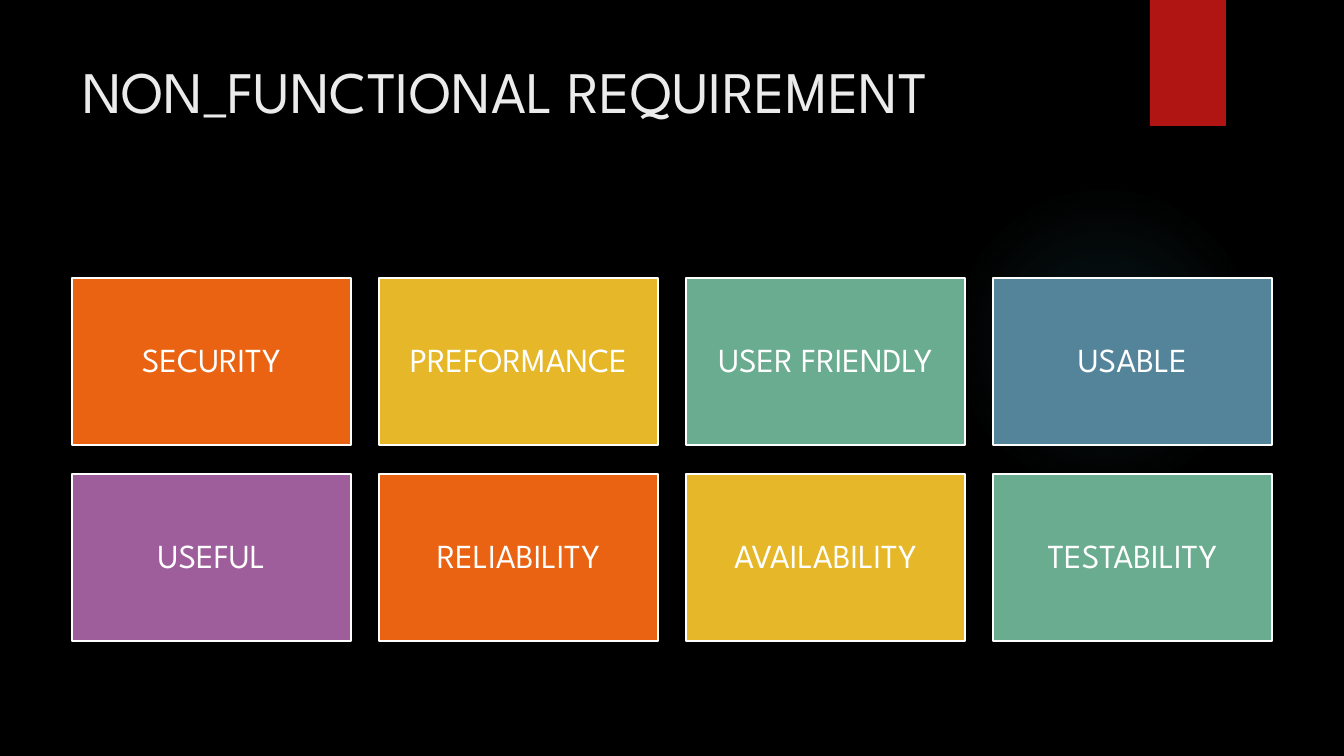
import dataclasses

import lxml.etree
import pptx
import pptx.dml.color
import pptx.enum.shapes
import pptx.enum.text
import pptx.oxml
import pptx.oxml.ns
import pptx.util

SLIDE_W, SLIDE_H = 1344, 756
EMU_PER_PX = 12192000 / SLIDE_W
FONT = "League Spartan"
COLORS = {
    "black": "000000",
    "white": "FFFFFF",
    "title": "EBEBEB",
    "glow": "50B9C1",
    "red": "B01513",
    "orange": "EA6312",
    "yellow": "E6B729",
    "green": "6AAC90",
    "blue": "54849A",
    "purple": "9E5E9B",
}
GLOW_STOPS = ((0, 7), (36, 6), (69, 0))  # position %, opacity %

# Card grid
COLUMNS = 4
GRID_LEFT, GRID_TOP = 72, 278
CARD_W, CARD_H = 279, 167
PITCH_X, PITCH_Y = 307, 196


@dataclasses.dataclass
class Card:
    text: str
    color: str


CARDS = [
    Card("SECURITY", "orange"),
    Card("PREFORMANCE", "yellow"),
    Card("USER FRIENDLY", "green"),
    Card("USABLE", "blue"),
    Card("USEFUL", "purple"),
    Card("RELIABILITY", "orange"),
    Card("AVAILABILITY", "yellow"),
    Card("TESTABILITY", "green"),
]


def px(n: int) -> pptx.util.Emu:
    return pptx.util.Emu(round(n * EMU_PER_PX))


def rgb(name: str) -> pptx.dml.color.RGBColor:
    return pptx.dml.color.RGBColor.from_string(COLORS[name])


def add_shape(s, kind, left: int, top: int, width: int, height: int, color: str):
    sp = s.shapes.add_shape(kind, px(left), px(top), px(width), px(height))
    sp.shadow.inherit = False
    sp.fill.solid()
    sp.fill.fore_color.rgb = rgb(color)
    sp.line.fill.background()
    return sp


def set_font(p, size: int, color: str) -> None:
    p.font.name = FONT
    p.font.size = pptx.util.Pt(size)
    p.font.color.rgb = rgb(color)


def add_glow(s) -> None:
    sp = add_shape(s, pptx.enum.shapes.MSO_SHAPE.OVAL, 949, 184, 310, 310, "glow")
    stops = "".join(
        f'<a:gs pos="{pos * 1000}"><a:srgbClr val="{COLORS["glow"]}">'
        f'<a:alpha val="{alpha * 1000}"/></a:srgbClr></a:gs>'
        for pos, alpha in GLOW_STOPS
    )
    grad = pptx.oxml.parse_xml(
        f'<a:gradFill {pptx.oxml.ns.nsdecls("a")}><a:gsLst>{stops}</a:gsLst>'
        '<a:path path="circle"><a:fillToRect l="50000" t="50000" r="50000" b="50000"/>'
        "</a:path></a:gradFill>"
    )
    solid = sp.element.spPr.find(pptx.oxml.ns.qn("a:solidFill"))
    sp.element.spPr.replace(solid, grad)


def add_title(s, text: str) -> None:
    sp = s.shapes.title
    sp.left, sp.top, sp.width, sp.height = px(72), px(50), px(1037), px(154)
    tf = sp.text_frame
    tf.text = text
    tf.word_wrap = True
    tf.auto_size = pptx.enum.text.MSO_AUTO_SIZE.NONE
    tf.vertical_anchor = pptx.enum.text.MSO_ANCHOR.TOP
    p = tf.paragraphs[0]
    p.alignment = pptx.enum.text.PP_ALIGN.LEFT
    set_font(p, 42, "title")


def add_card(s, card: Card, left: int, top: int) -> None:
    rect = pptx.enum.shapes.MSO_SHAPE.RECTANGLE
    sp = add_shape(s, rect, left, top, CARD_W, CARD_H, card.color)
    sp.line.color.rgb = rgb("white")
    sp.line.width = pptx.util.Pt(1.5)
    tf = sp.text_frame
    tf.text = card.text
    tf.word_wrap = True
    tf.vertical_anchor = pptx.enum.text.MSO_ANCHOR.MIDDLE
    tf.margin_left = tf.margin_right = tf.margin_top = tf.margin_bottom = px(10)
    p = tf.paragraphs[0]
    p.alignment = pptx.enum.text.PP_ALIGN.CENTER
    p.line_spacing = 0.9
    set_font(p, 24, "white")


def main() -> None:
    prs = pptx.Presentation()
    prs.slide_width, prs.slide_height = px(SLIDE_W), px(SLIDE_H)
    s = prs.slides.add_slide(prs.slide_layouts[5])

    # Background and decoration
    s.background.fill.solid()
    s.background.fill.fore_color.rgb = rgb("black")
    add_glow(s)
    add_shape(s, pptx.enum.shapes.MSO_SHAPE.RECTANGLE, 1150, 0, 76, 126, "red")

    # Title
    add_title(s, "NON_FUNCTIONAL REQUIREMENT")

    # Requirement cards
    for i, card in enumerate(CARDS):
        row, col = divmod(i, COLUMNS)
        add_card(s, card, GRID_LEFT + col * PITCH_X, GRID_TOP + row * PITCH_Y)

    prs.save("out.pptx")


if __name__ == "__main__":
    main()
